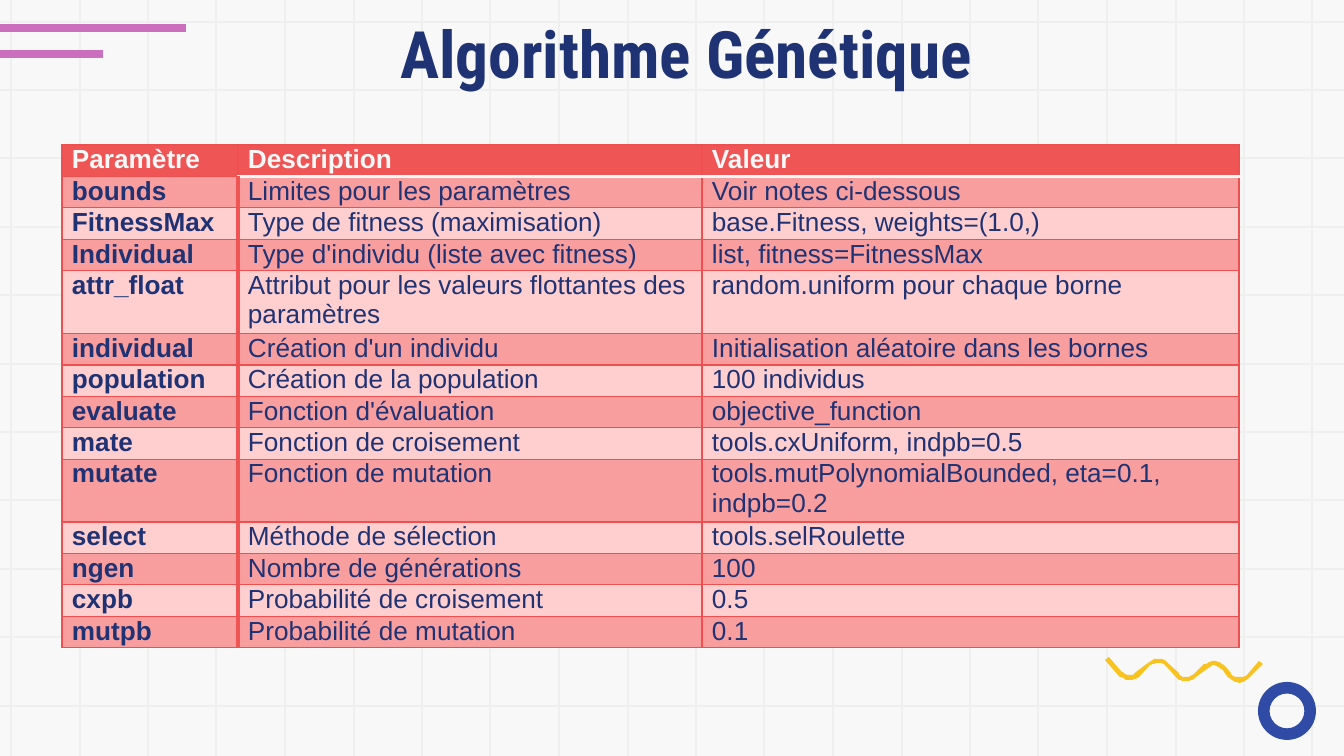
from lxml.etree import SubElement
from pptx import Presentation
from pptx.dml.color import RGBColor
from pptx.enum.shapes import MSO_CONNECTOR as Connector, MSO_SHAPE as Shape
from pptx.enum.text import MSO_ANCHOR as Anchor, PP_ALIGN as Align
from pptx.oxml.ns import qn
from pptx.util import Emu, Pt

SCALE = 9144000 / 1344
WIDTH, HEIGHT = 1344, 756

PAPER = RGBColor(0xF8, 0xF8, 0xF8)
GRID = RGBColor(0xEF, 0xEF, 0xEF)
NAVY = RGBColor(0x1F, 0x33, 0x74)
BLUE = RGBColor(0x30, 0x4B, 0xA6)
PURPLE = RGBColor(0xCB, 0x6E, 0xBE)
YELLOW = RGBColor(0xF8, 0xC2, 0x20)
RED = RGBColor(0xF0, 0x55, 0x55)
BORDER = RGBColor(0xEE, 0x4F, 0x4F)
ROSE = RGBColor(0xF9, 0x9E, 0x9E)
PINK = RGBColor(0xFF, 0xCE, 0xCE)

ROWS = [
    ("Paramètre", "Description", "Valeur"),
    ("bounds", "Limites pour les paramètres", "Voir notes ci-dessous"),
    ("FitnessMax", "Type de fitness (maximisation)", "base.Fitness, weights=(1.0,)"),
    ("Individual", "Type d'individu (liste avec fitness)", "list, fitness=FitnessMax"),
    ("attr_float", "Attribut pour les valeurs flottantes des paramètres",
     "random.uniform pour chaque borne"),
    ("individual", "Création d'un individu", "Initialisation aléatoire dans les bornes"),
    ("population", "Création de la population", "100 individus"),
    ("evaluate", "Fonction d'évaluation", "objective_function"),
    ("mate", "Fonction de croisement", "tools.cxUniform, indpb=0.5"),
    ("mutate", "Fonction de mutation", "tools.mutPolynomialBounded, eta=0.1, indpb=0.2"),
    ("select", "Méthode de sélection", "tools.selRoulette"),
    ("ngen", "Nombre de générations", "100"),
    ("cxpb", "Probabilité de croisement", "0.5"),
    ("mutpb", "Probabilité de mutation", "0.1"),
]

# Outline of the wave: one point is a straight side, three points a curve
WAVE = [
    [(1109, 657)], [(1105, 660)], [(1118, 675)],
    [(1121, 677), (1125, 680), (1129, 680)], [(1133, 680), (1136, 679), (1140, 676)],
    [(1150, 665)],
    [(1153, 664), (1156, 663), (1159, 663)], [(1161, 663), (1164, 664), (1167, 667)],
    [(1175, 676)],
    [(1177, 679), (1181, 681), (1185, 681)], [(1189, 681), (1193, 680), (1196, 677)],
    [(1207, 669)],
    [(1210, 667), (1211, 665), (1215, 665)], [(1218, 667), (1220, 668), (1222, 669)],
    [(1227, 676)],
    [(1230, 680), (1234, 681), (1239, 683)], [(1243, 683), (1247, 680), (1250, 677)],
    [(1263, 664)], [(1259, 661)], [(1247, 675)],
    [(1245, 677), (1242, 677), (1239, 677)], [(1235, 677), (1232, 676), (1231, 673)],
    [(1226, 667)],
    [(1223, 664), (1219, 661), (1215, 661)], [(1211, 661), (1207, 663), (1203, 665)],
    [(1193, 675)],
    [(1191, 676), (1189, 677), (1185, 677)], [(1183, 677), (1180, 676), (1179, 673)],
    [(1169, 664)],
    [(1167, 660), (1163, 659), (1160, 659)], [(1157, 658), (1152, 659), (1148, 663)],
    [(1136, 672)],
    [(1134, 675), (1132, 675), (1129, 675)], [(1126, 675), (1124, 673), (1121, 671)],
]


def px(length):
    return Emu(round(length * SCALE))


def write(frame, text, *, size, font, color, bold=False, align=Align.LEFT):
    para = frame.paragraphs[0]
    para.alignment = align
    span = para.add_run()
    span.text = text
    span.font.size = Pt(size)
    span.font.name = font
    span.font.bold = bold
    span.font.color.rgb = color


def flatten(outline, steps=8):
    """Turn straight sides and cubic curves into a list of points."""
    points = []
    for side in outline:
        if len(side) == 1:
            points += side
            continue
        corners = [points[-1], *side]
        for step in range(1, steps + 1):
            t = step / steps
            weights = ((1 - t) ** 3, 3 * t * (1 - t) ** 2, 3 * t * t * (1 - t), t ** 3)
            points.append(tuple(sum(w * c[axis] for w, c in zip(weights, corners))
                                for axis in (0, 1)))
    return points


class SlideBuilder:
    title_font = "Roboto Condensed"
    body_font = "Arial"

    def __init__(self, page):
        self.page = page
        page.background.fill.solid()
        page.background.fill.fore_color.rgb = PAPER

    def line(self, x1, y1, x2, y2):
        line = self.page.shapes.add_connector(Connector.STRAIGHT, px(x1), px(y1), px(x2), px(y2))
        line.line.color.rgb = GRID
        line.line.width = Pt(0.75)
        SubElement(line._element.spPr, qn("a:effectLst"))

    def paint(self, shape, color):
        shape.shadow.inherit = False
        shape.fill.solid()
        shape.fill.fore_color.rgb = color
        shape.line.fill.background()

    def shape(self, kind, left, top, width, height, color):
        shape = self.page.shapes.add_shape(kind, px(left), px(top), px(width), px(height))
        self.paint(shape, color)
        return shape

    def outline(self, points, color):
        builder = self.page.shapes.build_freeform(*points[0], scale=SCALE)
        builder.add_line_segments(points[1:], close=True)
        self.paint(builder.convert_to_shape(), color)

    def title(self, text, left, top, width, height):
        box = self.page.shapes.add_textbox(px(left), px(top), px(width), px(height))
        frame = box.text_frame
        frame.word_wrap = True
        frame.vertical_anchor = Anchor.TOP
        frame.margin_left = frame.margin_right = frame.margin_top = frame.margin_bottom = px(13)
        write(frame, text, size=35, font=self.title_font, color=NAVY, bold=True,
              align=Align.CENTER)

    def borders(self, cell, **edges):
        for side in "LRTB":
            color, width = edges.get(side, (BORDER, 0.75))
            edge = SubElement(cell._tc.get_or_add_tcPr(), qn(f"a:ln{side}"), w=str(Pt(width)))
            fill = SubElement(edge, qn("a:solidFill"))
            SubElement(fill, qn("a:srgbClr"), val=str(color))

    def table(self, rows, left, top, columns, row_height):
        frame = self.page.shapes.add_table(len(rows), len(columns), px(left), px(top),
                                           px(sum(columns)), px(row_height * len(rows)))
        table = frame.table
        table.horz_banding = False
        for column, width in zip(table.columns, columns):
            column.width = px(width)
        for r, texts in enumerate(rows):
            table.rows[r].height = px(row_height)
            for c, text in enumerate(texts):
                cell = table.cell(r, c)
                cell.margin_left = cell.margin_right = px(10)
                cell.margin_top = cell.margin_bottom = 0
                edges = {}
                if r > 0 and c < 2:
                    edges["R" if c == 0 else "L"] = (RED, 2)
                if r < 2 and c > 0:
                    edges["B" if r == 0 else "T"] = (PAPER, 2)
                self.borders(cell, **edges)
                cell.fill.solid()
                cell.fill.fore_color.rgb = RED if r == 0 else ROSE if r % 2 else PINK
                write(cell.text_frame, text, size=14, font=self.body_font,
                      color=PAPER if r == 0 else NAVY, bold=r == 0 or c == 0)


def main():
    deck = Presentation()
    deck.slide_width, deck.slide_height = px(WIDTH), px(HEIGHT)
    slide = SlideBuilder(deck.slides.add_slide(deck.slide_layouts[6]))

    # Background grid
    for i in range(11):
        y = round(21.5 + 68.4 * i)
        slide.line(WIDTH, y, 0, y)
    for i in range(20):
        x = round(11 + 68.5 * i)
        slide.line(x, 0, x, HEIGHT)

    # Decorations
    slide.shape(Shape.RECTANGLE, 0, 24, 186, 8, PURPLE)
    slide.shape(Shape.RECTANGLE, 0, 50, 103, 8, PURPLE)
    ring = slide.shape(Shape.DONUT, 1258, 682, 58, 58, BLUE)
    ring.adjustments[0] = 0.2
    slide.outline(flatten(WAVE), YELLOW)

    # Title and parameter table
    slide.title("Algorithme Génétique", 120, 0, 1133, 84)
    slide.table(ROWS, 62, 145, (176, 464, 537), 29)

    deck.save("out.pptx")


if __name__ == "__main__":
    main()
